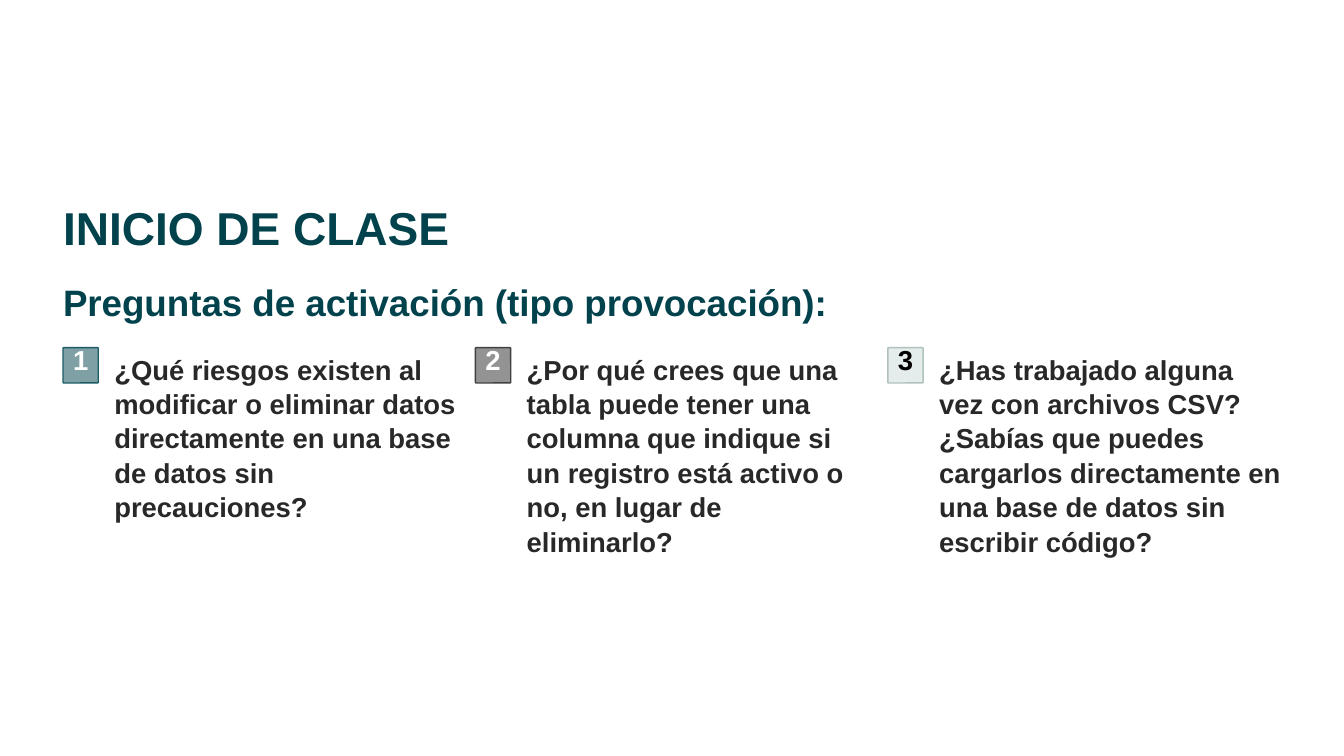
"""Build a class-opening slide with three numbered warm-up questions."""
import lxml.etree
import pptx
import pptx.dml.color
import pptx.enum.shapes
import pptx.enum.text
import pptx.oxml.ns
import pptx.util

Pt = pptx.util.Pt
ALIGN = pptx.enum.text.PP_ALIGN
COLORS = {"teal": "01424C", "rim": "1A5B65", "dark": "282828", "gray": "414141",
          "mint": "CADCD8", "sage": "B0C2BE", "white": "FFFFFF", "black": "000000"}
LEFT, STEP, INDENT = 54, 353.5, 44
CARDS = [
    ("¿Qué riesgos existen al modificar o eliminar datos directamente "
     "en una base de datos sin precauciones?", 149, "teal", "rim", "white"),
    ("¿Por qué crees que una tabla puede tener una columna que indique "
     "si un registro está activo o no, en lugar de eliminarlo?", 149, "dark", "gray", "white"),
    ("¿Has trabajado alguna vez con archivos CSV? ¿Sabías que puedes "
     "cargarlos directamente en una base de datos sin escribir código?",
     178.5, "mint", "sage", "black"),
]


def color(name):
    return pptx.dml.color.RGBColor.from_string(COLORS[name])


def write(shape, text, size=23.5, lead=29.5, ink="dark", align=ALIGN.LEFT, wrap=True, top=0):
    frame = shape.text_frame
    frame.margin_left = frame.margin_right = frame.margin_bottom = 0
    frame.margin_top = Pt(top)
    frame.auto_size = pptx.enum.text.MSO_AUTO_SIZE.NONE
    frame.word_wrap = wrap
    frame.vertical_anchor = pptx.enum.text.MSO_ANCHOR.TOP
    frame.text = text
    para = frame.paragraphs[0]
    para.alignment = align
    para.line_spacing = Pt(lead)
    para.space_before = Pt(0)
    font = para.runs[0].font
    font.name, font.size, font.bold = "Arial", Pt(size), True
    font.color.rgb = color(ink)


def add_box(slide, left, top, width, height):
    return slide.shapes.add_textbox(Pt(left), Pt(top), Pt(width), Pt(height))


def add_title(slide, text):
    title = slide.shapes.title
    title.left, title.top = Pt(LEFT), Pt(168.5)
    title.width, title.height = Pt(397.5), Pt(49.5)
    write(title, text, size=39.5, lead=49.5, ink="teal", wrap=False)


def add_badge(slide, left, label, fill, line, ink):
    badge = slide.shapes.add_shape(pptx.enum.shapes.MSO_SHAPE.ROUNDED_RECTANGLE,
                                   Pt(left), Pt(298), Pt(30.25), Pt(30.25))
    badge.adjustments[0] = 0.02
    badge.shadow.inherit = False
    badge.fill.solid()
    badge.fill.fore_color.rgb = color(fill)
    qn = pptx.oxml.ns.qn
    tint = badge._element.spPr.find(qn("a:solidFill")).find(qn("a:srgbClr"))
    lxml.etree.SubElement(tint, qn("a:alpha")).set("val", "50000")
    badge.line.color.rgb = color(line)
    badge.line.width = Pt(1.2)
    write(badge, label, lead=23.5, ink=ink, align=ALIGN.CENTER, wrap=False, top=0.75)


def main():
    deck = pptx.Presentation()
    deck.slide_width, deck.slide_height = Pt(1152), Pt(648)
    slide = deck.slides.add_slide(deck.slide_layouts[5])
    slide.background.fill.solid()
    slide.background.fill.fore_color.rgb = color("white")
    add_title(slide, "INICIO DE CLASE")
    write(add_box(slide, LEFT, 238.5, 643.5, 39.5),
          "Preguntas de activación (tipo provocación):",
          size=31.5, lead=39.5, ink="teal", wrap=False)
    for index, (text, height, fill, line, ink) in enumerate(CARDS):
        left = LEFT + index * STEP
        add_badge(slide, left, str(index + 1), fill, line, ink)
        write(add_box(slide, left + INDENT, 301, 293, height), text)
    deck.save("out.pptx")


if __name__ == "__main__":
    main()
